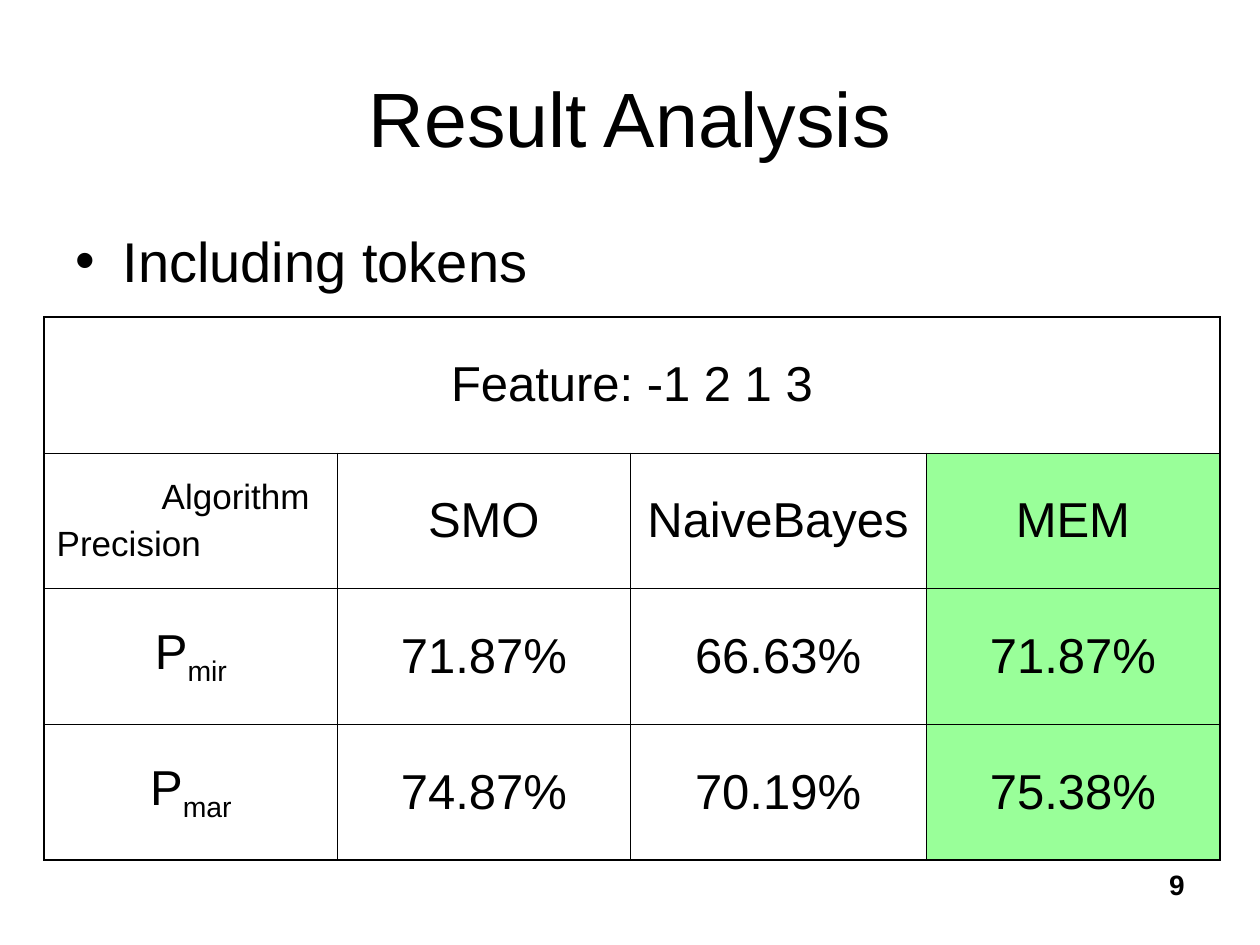
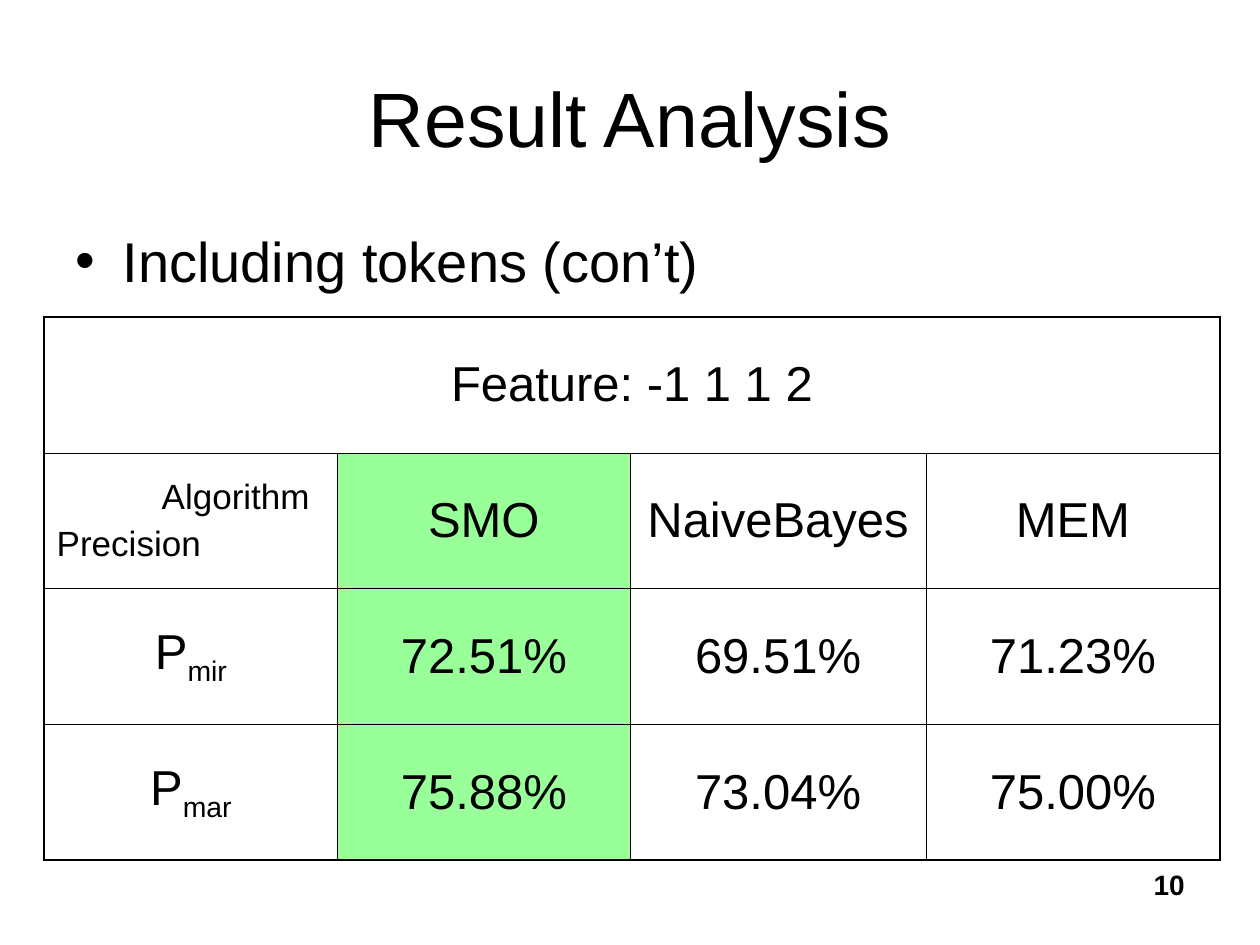
import lxml.etree
import pptx
import pptx.dml.color
import pptx.enum.text
import pptx.oxml.ns
import pptx.util

Pt = pptx.util.Pt
ALIGN = pptx.enum.text.PP_ALIGN
ANCHOR = pptx.enum.text.MSO_ANCHOR
COLORS = {"text": "000000", "border": "000000", "best": "99FF99", "background": "FFFFFF"}
FONT = "Arial"
THIN, THICK = 0.45, 1.08

TITLE_BOX = (36, 21.6, 648, 90)
BODY_BOX = (36, 126, 648, 172)
TABLE_BOX = (25.2, 181.2, 671.8, 310.4)
NUMBER_BOX = (516, 492, 168, 37.2)
COLUMN_WIDTHS = (167.8, 167, 169.2, 167.8)
ALGORITHMS = ("SMO", "NaiveBayes", "MEM")
MEASURES = ("mir", "mar")

RESULTS = [
    {
        "number": "9",
        "topic": "Including tokens",
        "feature": "Feature: -1 2 1 3",
        "best": "MEM",
        "precision": [("71.87%", "66.63%", "71.87%"), ("74.87%", "70.19%", "75.38%")],
    },
    {
        "number": "10",
        "topic": "Including tokens (con’t)",
        "feature": "Feature: -1 1 1 2",
        "best": "SMO",
        "precision": [("72.51%", "69.51%", "71.23%"), ("75.88%", "73.04%", "75.00%")],
    },
]


def color(name):
    return pptx.dml.color.RGBColor.from_string(COLORS[name])


def add_child(parent, tag, **attributes):
    child = lxml.etree.SubElement(parent, pptx.oxml.ns.qn(tag))
    for key, value in attributes.items():
        child.set(key, str(value))
    return child


def add_span(para, text, size, bold=False):
    span = para.add_run()
    span.text = text
    span.font.name = FONT
    span.font.size = Pt(size)
    span.font.bold = bold
    span.font.color.rgb = color("text")
    return span


def add_text_box(page, bounds, text, size, align, anchor=ANCHOR.TOP, bold=False):
    box = page.shapes.add_textbox(*map(Pt, bounds))
    box.text_frame.word_wrap = True
    box.text_frame.vertical_anchor = anchor
    para = box.text_frame.paragraphs[0]
    para.alignment = align
    add_span(para, text, size, bold)
    return para


def add_bullet(para):
    properties = para._p.get_or_add_pPr()
    properties.set("marL", str(Pt(27)))
    properties.set("indent", str(Pt(-27)))
    add_child(add_child(properties, "a:buClr"), "a:srgbClr", val=COLORS["text"])
    add_child(properties, "a:buFont", typeface=FONT)
    add_child(properties, "a:buChar", char="•")


def style_cell(cell, edges, fill):
    properties = cell._tc.get_or_add_tcPr()
    for side, width in edges.items():
        line = add_child(properties, "a:ln" + side, w=int(Pt(width)))
        add_child(add_child(line, "a:solidFill"), "a:srgbClr", val=COLORS["border"])
    cell.fill.solid()
    cell.fill.fore_color.rgb = color(fill)
    cell.vertical_anchor = ANCHOR.MIDDLE


def write_cell(cell, text, subscript=None):
    para = cell.text_frame.paragraphs[0]
    para.alignment = ALIGN.CENTER
    add_span(para, text, 28)
    if subscript:
        add_span(para, subscript, 28).font._element.set("baseline", "-25000")


def write_corner(cell):
    upper = cell.text_frame.paragraphs[0]
    upper._p.get_or_add_pPr().set("marL", str(Pt(60)))
    add_span(upper, "Algorithm", 20)
    lower = cell.text_frame.add_paragraph()
    lower.space_before = Pt(5)
    add_span(lower, "Precision", 20)


def add_precision_table(page, bounds, result):
    row_count, column_count = 2 + len(MEASURES), 1 + len(ALGORITHMS)
    table = page.shapes.add_table(row_count, column_count, *map(Pt, bounds)).table
    table.first_row = table.horz_banding = False
    for column, width in zip(table.columns, COLUMN_WIDTHS):
        column.width = Pt(width)
    for row in table.rows:
        row.height = Pt(bounds[3] / row_count)

    best_column = 1 + ALGORITHMS.index(result["best"])
    for r in range(row_count):
        for c in range(column_count):
            edges = {
                "L": THICK if c == 0 else THIN,
                "R": THICK if c == column_count - 1 or r == 0 else THIN,
                "T": THICK if r == 0 else THIN,
                "B": THICK if r == row_count - 1 else THIN,
            }
            fill = "best" if r > 0 and c == best_column else "background"
            style_cell(table.cell(r, c), edges, fill)

    table.cell(0, 0).merge(table.cell(0, column_count - 1))
    write_cell(table.cell(0, 0), result["feature"])
    write_corner(table.cell(1, 0))
    for r, measure in enumerate(MEASURES, 2):
        write_cell(table.cell(r, 0), "P", measure)
    for r, values in enumerate([ALGORITHMS, *result["precision"]], 1):
        for c, value in enumerate(values, 1):
            write_cell(table.cell(r, c), value)


def add_result_page(deck, result):
    page = deck.slides.add_slide(deck.slide_layouts[6])
    page.background.fill.solid()
    page.background.fill.fore_color.rgb = color("background")
    add_text_box(page, TITLE_BOX, "Result Analysis", 44, ALIGN.CENTER, ANCHOR.MIDDLE)
    add_bullet(add_text_box(page, BODY_BOX, result["topic"], 32, ALIGN.LEFT))
    add_precision_table(page, TABLE_BOX, result)
    add_text_box(page, NUMBER_BOX, result["number"], 16, ALIGN.RIGHT, bold=True)


def main():
    deck = pptx.Presentation()
    deck.slide_width, deck.slide_height = Pt(720), Pt(540)
    for result in RESULTS:
        add_result_page(deck, result)
    deck.save("out.pptx")


if __name__ == "__main__":
    main()
